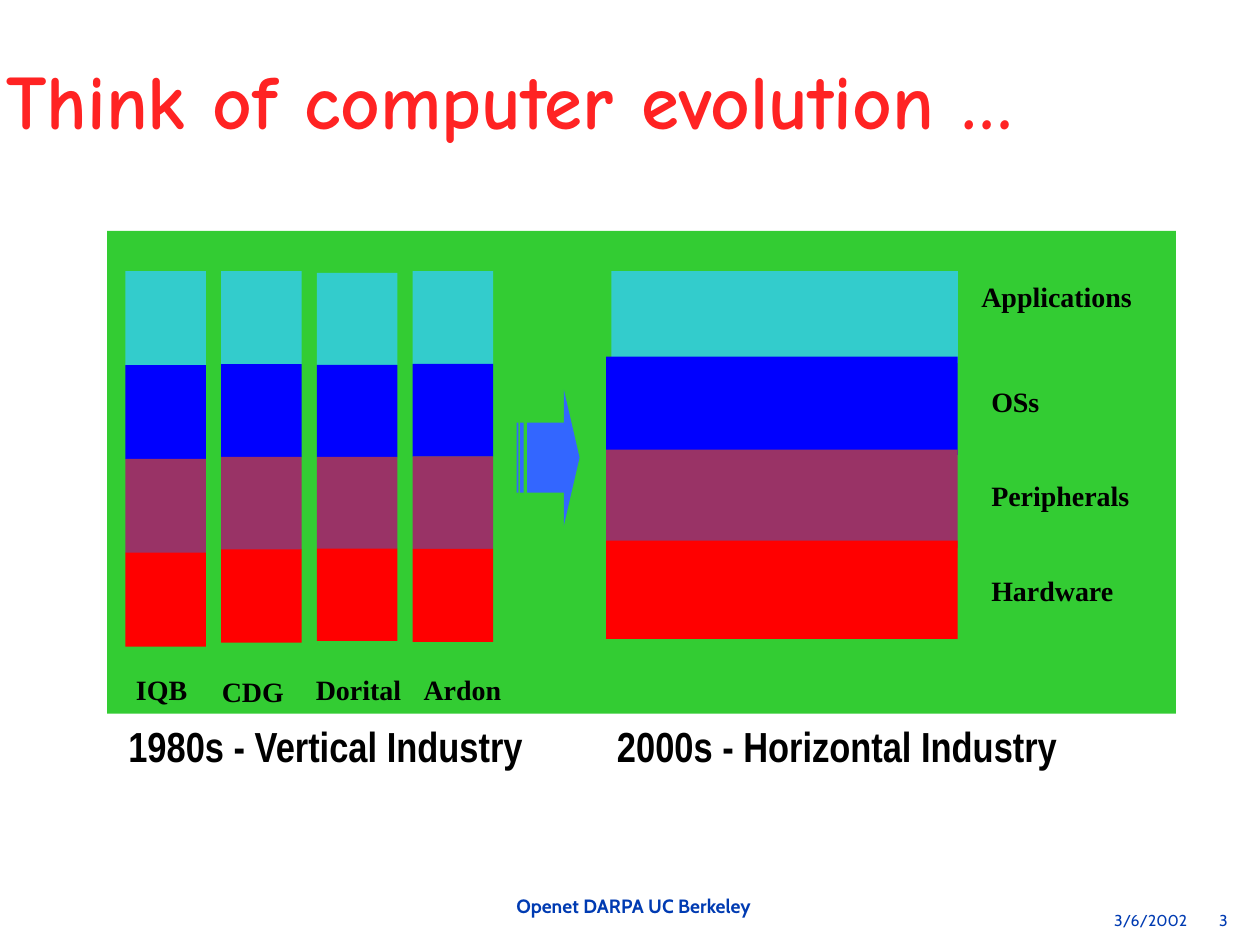
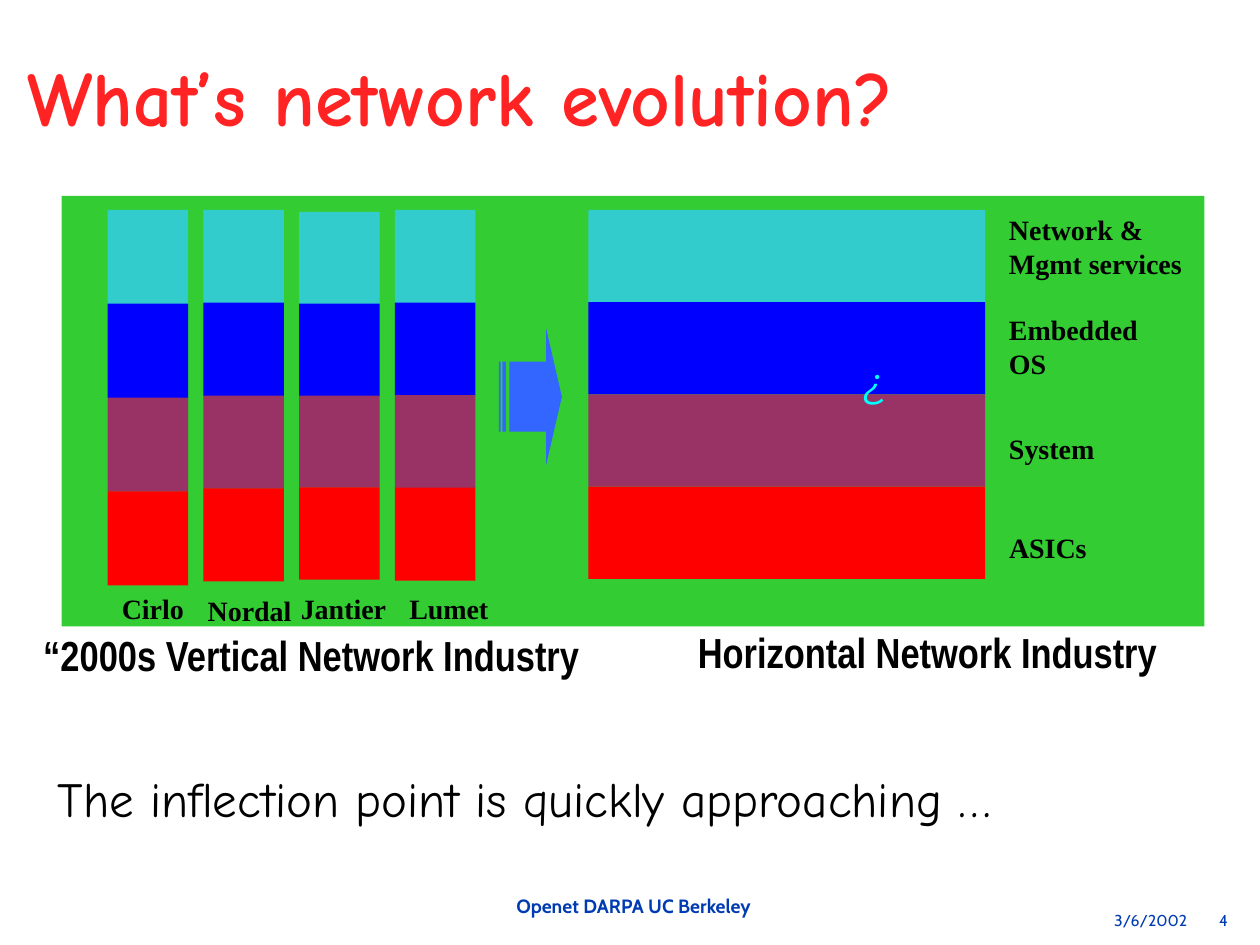
from pptx import Presentation
from pptx.dml.color import RGBColor
from pptx.enum.shapes import MSO_SHAPE as Preset
from pptx.enum.text import MSO_ANCHOR as Anchor, PP_ALIGN as Align
from pptx.oxml.ns import qn
from pptx.util import Pt
from lxml.etree import SubElement

COLORS = {
    "title": "FF2323",
    "footer": "003BB2",
    "text": "000000",
    "panel": "33CC33",
    "arrow": "3366FF",
    "question": "00FFFF",
}
LAYER_COLORS = ["33CCCC", "0000FF", "993366", "FF0000"]
BLOCK_WIDTH = 46
COLUMN_PITCH = 54.7
LAYER_OVERLAP = 0.2
COLUMNS = [(0, 53.8), (0, 53.2), (1, 52.7), (0, 53.1)]
ARROW_HEAD = [(27.4, 0), (27.4, 19.4), (5.8, 19.4), (5.8, 58.8),
              (27.4, 58.8), (27.4, 78.5), (36, 39.2)]
ARROW_BARS = [(2.2, 4.3), (0, 1.4)]


def color(name):
    return RGBColor.from_string(COLORS.get(name, name))


def paint(shape, fill):
    shape.shadow.inherit = False
    shape.fill.solid()
    shape.fill.fore_color.rgb = color(fill)
    shape.line.fill.background()


def add_block(slide, box, fill):
    shape = slide.shapes.add_shape(Preset.RECTANGLE, *map(Pt, box))
    paint(shape, fill)


def add_text(slide, text, box, font, size, fill="text", bold=False, italic=False,
             align=Align.LEFT, wrap=True, insets=(7.2, 3.6), spacing=None):
    shape = slide.shapes.add_textbox(*map(Pt, box))
    frame = shape.text_frame
    frame.word_wrap = wrap
    frame.margin_left = frame.margin_right = Pt(insets[0])
    frame.margin_top = frame.margin_bottom = Pt(insets[1])
    for index, line in enumerate(text.split("\n")):
        paragraph = frame.add_paragraph() if index else frame.paragraphs[0]
        paragraph.alignment = align
        if spacing:
            paragraph.line_spacing = spacing
        run = paragraph.add_run()
        run.text = line
        run.font.name = font
        run.font.size = Pt(size)
        run.font.bold = bold
        run.font.italic = italic
        run.font.color.rgb = color(fill)
    return shape


def add_title(slide, text, left, top, width):
    add_text(slide, text, (left, top, width, 47.5), "Comic Neue", 44, "title",
             bold=True, insets=(3.6, 0), spacing=0.9)


def add_footer(slide, number):
    add_text(slide, "Openet DARPA UC Berkeley", (280, 507.6, 164.2, 19.4), "Cabin", 11,
             "footer", bold=True, align=Align.CENTER, wrap=False, insets=(6.5, 3.6))
    date = add_text(slide, f"3/6/2002\t{number}", (630.2, 520.2, 88, 12.2), "Cabin", 9,
                    "footer", insets=(6.5, 0))
    properties = date.text_frame.paragraphs[0]._p.get_or_add_pPr()
    tabs = SubElement(properties, qn("a:tabLst"))
    SubElement(tabs, qn("a:tab"), pos=str(Pt(60)), algn="l")


def add_label(slide, text, left, top, width, align=Align.LEFT):
    height = 26.6 + 19.4 * text.count("\n")
    add_text(slide, text, (left, top, width, height), "Times New Roman", 16,
             bold=True, align=align)


def add_caption(slide, text, left, top, width):
    add_text(slide, text, (left, top, width, 36), "Arial Narrow", 24,
             bold=True, align=Align.CENTER)


def add_vendor_columns(slide, left, top):
    for column, (drop, height) in enumerate(COLUMNS):
        for layer, fill in enumerate(LAYER_COLORS):
            box = (left + column * COLUMN_PITCH,
                   top + drop + layer * (height - LAYER_OVERLAP),
                   BLOCK_WIDTH, height)
            add_block(slide, box, fill)


def add_vendor_names(slide, vendors):
    for index, vendor in enumerate(vendors):
        add_label(slide, *vendor, align=Align.CENTER if index == 2 else Align.LEFT)


def add_arrow(slide, left, top):
    builder = slide.shapes.build_freeform(*ARROW_HEAD[0], scale=Pt(1))
    builder.add_line_segments(ARROW_HEAD[1:])
    for start, end in ARROW_BARS:
        builder.move_to(start, 19.4)
        builder.add_line_segments([(start, 58.8), (end, 58.8), (end, 19.4)])
    paint(builder.convert_to_shape(Pt(left), Pt(top)), "arrow")


def add_question(slide):
    shape = add_text(slide, "?", (412.4, 184.6, 123.8, 79.2), "Montserrat", 24, "question",
                     italic=True, wrap=False, insets=(3.6, 7.2))
    shape.rotation = 90
    frame = shape.text_frame
    frame.vertical_anchor = Anchor.MIDDLE
    frame._txBody.bodyPr.set("vert", "eaVert")
    properties = frame.paragraphs[0].runs[0]._r.get_or_add_rPr()
    outline = SubElement(properties, qn("a:ln"), w=str(Pt(0.75)))
    fill = SubElement(outline, qn("a:solidFill"))
    SubElement(fill, qn("a:srgbClr"), val=COLORS["question"])
    properties.insert(0, outline)


def add_evolution(slide, panel, vendors, layers, columns_at, arrow_at, bands):
    add_block(slide, panel, "panel")
    add_vendor_names(slide, vendors)
    for layer in layers:
        add_label(slide, *layer)
    add_vendor_columns(slide, *columns_at)
    add_arrow(slide, *arrow_at)
    for band, fill in zip(bands, LAYER_COLORS):
        add_block(slide, band, fill)


def build_computer_slide(slide):
    add_footer(slide, 3)
    add_evolution(
        slide,
        panel=(61.2, 132, 610.8, 275.8),
        vendors=[("IQB", 70.6, 380.9, 48), ("CDG", 119.7, 382, 67),
                 ("Dorital", 169.2, 380.9, 71.3), ("Ardon", 235, 380.9, 61)],
        layers=[("Applications", 553.7, 156.2, 104), ("OSs", 559.4, 216, 45),
                ("Peripherals", 559.4, 270, 97), ("Hardware", 559.4, 324, 88)],
        columns_at=(71.7, 155),
        arrow_at=(295.2, 222.5),
        bands=[(349.4, 155, 198, 52.6)]
        + [(346.3, top, 200.9, 56.2) for top in (203.8, 257, 308.9)],
    )
    add_caption(slide, "1980s - Vertical Industry", 49.2, 408.2, 273.6)
    add_caption(slide, "2000s - Horizontal Industry", 337.2, 408.2, 282.2)
    add_title(slide, "Think of computer evolution …", 0, 36, 704.2)


def build_network_slide(slide):
    add_footer(slide, 4)
    add_evolution(
        slide,
        panel=(35.3, 112, 653, 246),
        vendors=[("Cirlo", 62.6, 334.5, 53), ("Nordal", 111.6, 335.5, 67),
                 ("Jantier", 160.6, 334.5, 71.3), ("Lumet", 226.8, 334.5, 64)],
        layers=[("Network &\nMgmt services", 569.5, 118.1, 117),
                ("Embedded\nOS", 569.5, 175, 92),
                ("System", 569.5, 243, 67), ("ASICs", 569.5, 299.5, 62)],
        columns_at=(61.5, 120),
        arrow_at=(285.1, 187.7),
        bands=[(336.2, 120 + layer * 52.7, 226.8, 52.7) for layer in range(4)],
    )
    add_question(slide)
    add_caption(slide, "“2000s Vertical Network Industry", 0, 356, 355.7)
    add_caption(slide, "Horizontal Network Industry", 359, 354.6, 342)
    add_text(slide, "The inflection point is quickly approaching …",
             (25.9, 439.2, 647.3, 46.8), "Comic Neue", 28, spacing=0.9)
    add_title(slide, "What’s network evolution?", 12, 34.3, 617.8)


def main():
    presentation = Presentation()
    presentation.slide_width = Pt(720)
    presentation.slide_height = Pt(540)
    blank = presentation.slide_layouts[6]
    for build in (build_computer_slide, build_network_slide):
        build(presentation.slides.add_slide(blank))
    presentation.save("out.pptx")


if __name__ == "__main__":
    main()
